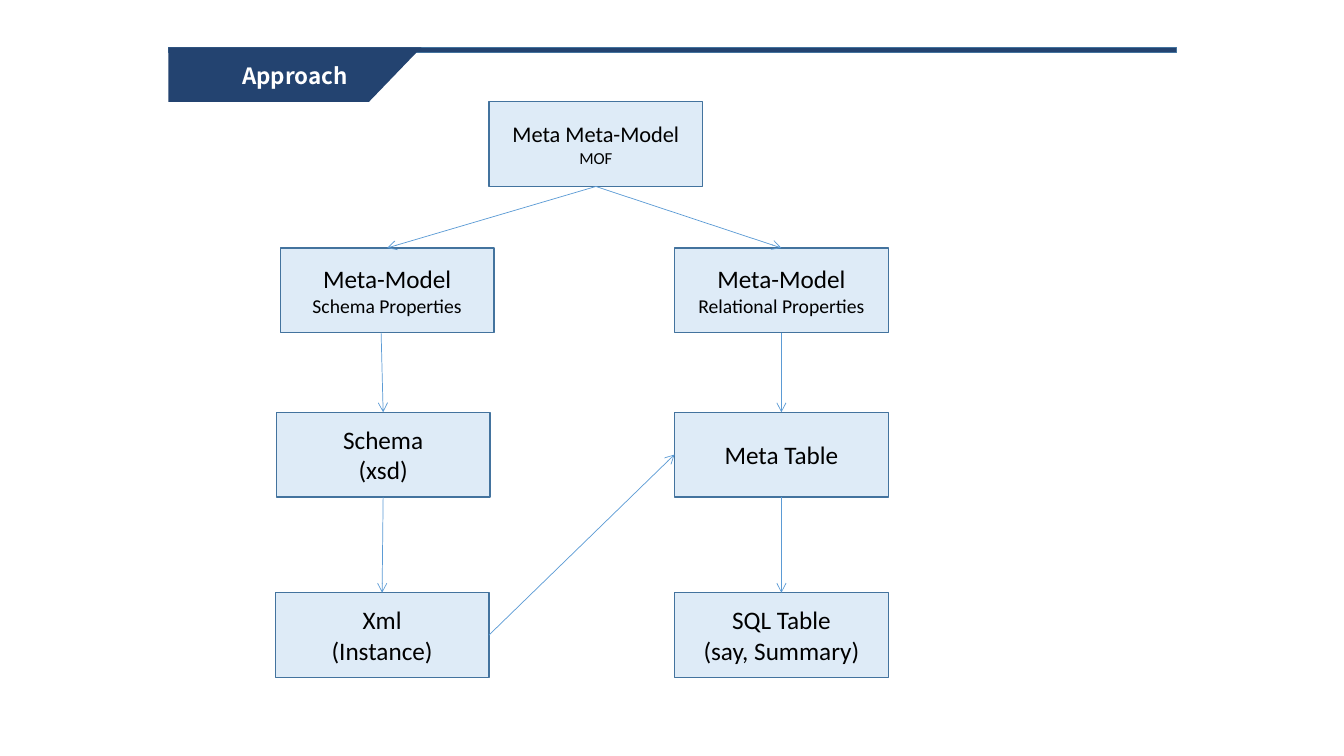
from dataclasses import dataclass

from pptx import Presentation
from pptx.dml.color import RGBColor
from pptx.enum.shapes import MSO_CONNECTOR, MSO_SHAPE
from pptx.enum.text import MSO_ANCHOR, PP_ALIGN
from pptx.oxml.ns import qn
from pptx.util import Inches, Pt
from lxml.etree import SubElement


@dataclass(frozen=True)
class Theme:
    navy: str = "234370"
    edge: str = "43739E"
    pale: str = "DEEBF7"
    arrow: str = "5B9BD5"
    white: str = "FFFFFF"
    black: str = "000000"
    head: str = "Noto Sans CJK SC"
    body: str = "Calibri"
    title: int = 16
    large: int = 18
    mid: int = 16
    note: int = 14
    small: int = 12


THEME = Theme()
TOP, LEFT, BOTTOM, RIGHT = range(4)
WIDE, HIGH = 2.12, 0.84


def paint(shape, fill, edge=None):
    shape.shadow.inherit = False
    shape.fill.solid()
    shape.fill.fore_color.rgb = RGBColor.from_string(fill)
    if edge:
        shape.line.color.rgb = RGBColor.from_string(edge)
        shape.line.width = Pt(1)
    else:
        shape.line.fill.background()


def write(frame, text, sizes, font=THEME.body, color=THEME.black, bold=False):
    """Set one centred paragraph per line of text, each with its own size."""
    frame.word_wrap = True
    frame.vertical_anchor = MSO_ANCHOR.MIDDLE
    for i, (line, size) in enumerate(zip(text.split("\n"), sizes)):
        para = frame.paragraphs[0] if i == 0 else frame.add_paragraph()
        para.alignment = PP_ALIGN.CENTER
        run = para.add_run()
        run.text = line
        run.font.name = font
        run.font.size = Pt(size)
        run.font.bold = bold
        run.font.color.rgb = RGBColor.from_string(color)


def header(slide, x, y, width):
    # Rule across the top
    rule = slide.shapes.add_shape(MSO_SHAPE.RECTANGLE, Inches(x), Inches(y),
                                  Inches(width), Inches(0.05))
    paint(rule, THEME.navy, THEME.edge)

    # Slanted tab
    edge = [(Inches(x + dx), Inches(y + dy))
            for dx, dy in ((0, 0), (2.51, 0), (1.99, 0.54), (0, 0.54))]
    pen = slide.shapes.build_freeform(*edge[0])
    pen.add_line_segments(edge[1:], close=True)
    paint(pen.convert_to_shape(), THEME.navy)

    # Title
    label = slide.shapes.add_textbox(Inches(x + 0.58), Inches(y + 0.09),
                                     Inches(1.35), Inches(0.37))
    write(label.text_frame, "Approach", [THEME.title], font=THEME.head,
          color=THEME.white, bold=True)


def node(slide, x, y, text, sizes=(THEME.large, THEME.large)):
    box = slide.shapes.add_shape(MSO_SHAPE.RECTANGLE, Inches(x), Inches(y),
                                 Inches(WIDE), Inches(HIGH))
    paint(box, THEME.pale, THEME.edge)
    write(box.text_frame, text, sizes)
    return box


def link(slide, start, end, out=BOTTOM, into=TOP, shift=0):
    """Join two boxes; a shift moves the start off the middle of its side."""
    line = slide.shapes.add_connector(MSO_CONNECTOR.STRAIGHT, 0, 0, 0, 0)
    line.begin_connect(start, out)
    line.end_connect(end, into)
    if shift:
        x, y = line.begin_x, line.begin_y
        line = line_free(slide, line, x + Inches(shift), y, end, into)
    line.line.color.rgb = RGBColor.from_string(THEME.arrow)
    line.line.width = Pt(0.5)
    props = line.line._get_or_add_ln()
    SubElement(props, qn("a:tailEnd"), type="arrow")
    SubElement(line._element.spPr, qn("a:effectLst"))


def line_free(slide, old, x, y, end, into):
    """Replace a joined line by one whose start is free."""
    new = slide.shapes.add_connector(MSO_CONNECTOR.STRAIGHT, x, y,
                                     old.end_x, old.end_y)
    new.end_connect(end, into)
    old._element.getparent().remove(old._element)
    return new


def diagram(slide, x, y):
    rows = [y, y + 1.45, y + 3.08, y + 4.87]
    far = x + 3.96
    pair = (THEME.large, THEME.note)

    # Boxes
    root = node(slide, x + 2.12, rows[0], "Meta Meta-Model\nMOF",
                (THEME.mid, THEME.small))
    left = [node(slide, x + 0.05, rows[1],
                 "Meta-Model\nSchema Properties", pair),
            node(slide, x + 0.01, rows[2], "Schema\n(xsd)"),
            node(slide, x, rows[3], "Xml\n(Instance)")]
    right = [node(slide, far, rows[1],
                  "Meta-Model\nRelational Properties", pair),
             node(slide, far, rows[2], "Meta Table"),
             node(slide, far, rows[3], "SQL Table\n(say, Summary)")]

    # Arrows
    link(slide, root, left[0])
    link(slide, root, right[0])
    link(slide, left[0], left[1], shift=-0.06)
    link(slide, left[1], left[2])
    for upper, lower in zip(right, right[1:]):
        link(slide, upper, lower)
    link(slide, left[2], right[1], out=RIGHT, into=LEFT)


def main():
    deck = Presentation()
    deck.slide_width, deck.slide_height = Inches(13.33), Inches(7.5)
    slide = deck.slides.add_slide(deck.slide_layouts[6])
    header(slide, 1.67, 0.47, 10)
    diagram(slide, 2.73, 1.01)
    deck.save("out.pptx")


if __name__ == "__main__":
    main()
